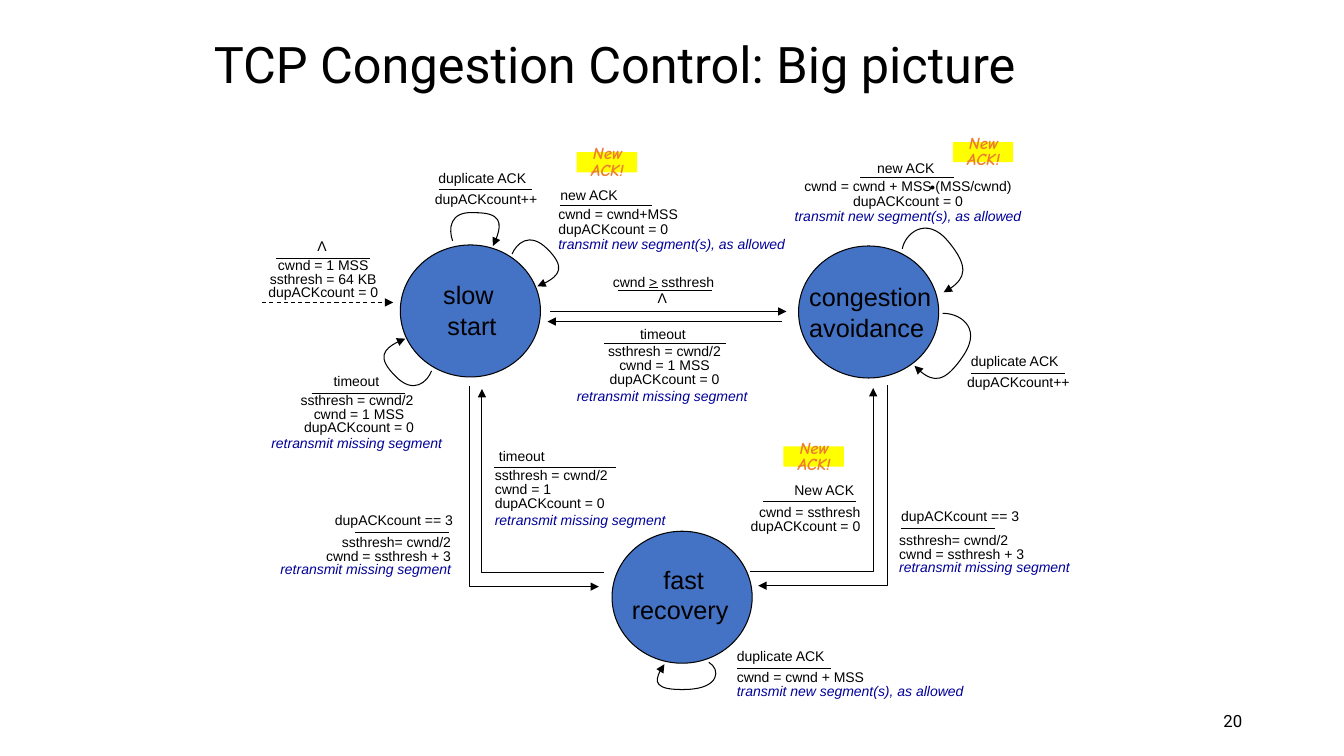
from lxml import etree
from pptx import Presentation
from pptx.dml.color import RGBColor
from pptx.enum.dml import MSO_LINE
from pptx.enum.shapes import MSO_CONNECTOR, MSO_SHAPE
from pptx.enum.text import MSO_ANCHOR, MSO_AUTO_SIZE, PP_ALIGN
from pptx.oxml.ns import qn
from pptx.util import Inches, Pt

LEFT, MID, RIGHT = PP_ALIGN.LEFT, PP_ALIGN.CENTER, PP_ALIGN.RIGHT
DASH = MSO_LINE.DASH
OVAL, RECT = MSO_SHAPE.OVAL, MSO_SHAPE.RECTANGLE
STRAIGHT = MSO_CONNECTOR.STRAIGHT
CELL = 0.1
BLACK, NAVY, BLUE = "000000", "000099", "4472C4"
YELLOW, ORANGE = "FFFF00", "ED7D31"

STATES = [
    ("slow |start", 39.7, 24.3, 0.7),
    ("congestion|avoidance ", 79.2, 24.4, 0.5),
    ("fast|recovery ", 60.7, 52.7, 1),
]

LABELS = [
    ("timeout", (62.5, 31.8, 7.5), (59.9, 34.1, 72),
     "ssthresh = cwnd/2|cwnd = 1 MSS|dupACKcount = 0|retransmit missing segment ",
     (56.2, 33.7, 19.4), MID, 0.85),
    ("cwnd > ssthresh", (59.8, 26.6, 12), (61.3, 28.8, 70.6),
     "Λ", (64.2, 28.6, 3), MID, 0.8),
    ("new ACK", (86, 15.3, 7.8), (85.3, 17.6, 94.6),
     "cwnd = cwnd + MSS (MSS/cwnd)|dupACKcount = 0|transmit new segment(s), as allowed",
     (77.7, 17.3, 24.7), MID, 0.9),
    ("duplicate ACK", (95.3, 34.5, 10.8), (96.3, 37.1, 105.6),
     "dupACKcount++", (94.9, 36.9, 12.2), MID, 0.8),
    ("duplicate ACK", (72.1, 63.7, 10.8), (73.1, 66.3, 82.4),
     "cwnd = cwnd + MSS|transmit new segment(s), as allowed",
     (72.1, 66.1, 24.5), LEFT, 0.85),
    ("dupACKcount == 3", (32.2, 50.3, 13.7), (35.2, 52.8, 44.5),
     "ssthresh= cwnd/2|cwnd = ssthresh + 3|retransmit missing segment",
     (26.8, 52.8, 18.9), RIGHT, 0.8),
    ("timeout", (48.5, 43.9, 7.5), (49, 46.4, 61.1),
     "ssthresh = cwnd/2|cwnd = 1|dupACKcount = 0|retransmit missing segment ",
     (48.1, 46, 19.4), LEFT, 0.85),
    ("dupACKcount == 3", (88.4, 49.9, 13.7), (89.4, 52.4, 98.7),
     "ssthresh= cwnd/2|cwnd = ssthresh + 3|retransmit missing segment",
     (88.2, 52.6, 18.9), LEFT, 0.8),
    ("New ACK", (77.7, 47.3, 8), (75.7, 49.8, 84.9),
     "cwnd = ssthresh|dupACKcount = 0", (73.4, 49.8, 12.9), RIGHT, 0.8),
    ("timeout", (32.1, 36.5, 7.5), (30.9, 39, 40.2),
     "ssthresh = cwnd/2 |cwnd = 1 MSS|dupACKcount = 0|retransmit missing segment ",
     (25.9, 38.7, 19.4), MID, 0.8),
    ("new ACK", (54.6, 18, 7.8), (55.5, 20.4, 64.7),
     "cwnd = cwnd+MSS|dupACKcount = 0|transmit new segment(s), as allowed",
     (54.4, 20.1, 24.7), LEFT, 0.9),
    ("duplicate ACK", (42.5, 16.3, 10.8), (43.5, 18.8, 52.8),
     "dupACKcount++", (42.1, 18.7, 12.2), MID, 0.8),
    ("Λ", (30.5, 23.1, 3), (27.4, 25.6, 36.7),
     "cwnd = 1 MSS|ssthresh = 64 KB|dupACKcount = 0",
     (25.6, 25.3, 12.9), MID, 0.8),
]

LOOPS = [
    [(89.5, 24.7), (89.7, 23.3), (91.8, 21.3), (94, 23.9), (96.2, 26.5), (95.6, 28), (93.6, 29)],
    [(93.5, 31.1), (94.9, 31), (97.5, 32.3), (95.6, 35.2), (93.7, 38.1), (92.2, 37.9), (90.7, 36.3)],
    [(70.3, 65.7), (71.5, 66.4), (71.4, 68.3), (68.1, 68.4), (64.8, 68.5), (64.9, 67.2), (65.9, 65.9)],
    [(44.9, 23.9), (44.5, 22.8), (44.5, 20.9), (47.1, 21.1), (49.7, 21.1), (49.9, 22.4), (48.9, 24.4)],
    [(50.8, 25.2), (51.2, 24.2), (52.5, 22.9), (54.3, 24.7), (56.1, 26.5), (55.4, 27.6), (53.3, 28.4)],
    [(42.8, 36.8), (42.4, 37.9), (41, 39.2), (39.2, 37.3), (37.4, 35.5), (38.1, 34.4), (40.2, 33.6)],
]

BENDS = [
    [(46.6, 38.3), (46.6, 58.2), (59.4, 58.2)],
    [(59.9, 56.8), (47.8, 56.8), (47.8, 38.6)],
    [(88, 38.2), (88, 58.1), (75.2, 58.1)],
    [(74.4, 56.7), (86.6, 56.7), (86.6, 38.5)],
]

BADGES = [(77.7, 44.3), (57.2, 15.1), (94.5, 14.1)]


def grid(*cells):
    return [Inches(cell * CELL) for cell in cells]


def tint(text):
    return RGBColor.from_string(text)


def style(para, size, face="Arial", color=BLACK, align=LEFT, gap=1.0):
    para.alignment = align
    para.line_spacing = gap
    font = para.font
    font.size, font.name = Pt(size), face
    font.color.rgb = tint(color)
    return font


def fill_text(frame, text):
    frame.word_wrap = False
    for num, line in enumerate(text.split("|")):
        para = frame.paragraphs[0] if num == 0 else frame.add_paragraph()
        para.text = line
    return frame.paragraphs


def box(slide, text, place, high):
    x, y, wide = place
    frame = slide.shapes.add_textbox(*grid(x, y, wide, high)).text_frame
    frame.auto_size = MSO_AUTO_SIZE.SHAPE_TO_FIT_TEXT
    return fill_text(frame, text)


def note(slide, text, place, align=LEFT, gap=1.0):
    for para in box(slide, text, place, 1 + 1.7 * len(text.split("|"))):
        sent = "transmit" in para.text
        if para.text.endswith("segment "):
            para.text = para.text.rstrip()
            tail = para.add_run()
            tail.text = " "
            tail.font.size = Pt(12)
        font = style(para, 10, color=NAVY if sent else BLACK, align=align, gap=gap)
        font.italic = sent


def ink(shape, arrow):
    shape.line.color.rgb = tint(BLACK)
    shape.line.width = Pt(0.75)
    if arrow:
        line = shape.element.spPr.find(qn("a:ln"))
        etree.SubElement(line, qn("a:tailEnd"), type="triangle")


def rule(slide, start, end, arrow=False, dash=None):
    line = slide.shapes.add_connector(STRAIGHT, *grid(*start, *end))
    if dash:
        line.line.dash_style = dash
    ink(line, arrow)
    etree.SubElement(line.element.spPr, qn("a:effectLst"))


def label(slide, head, spot, bar, body, place, align, gap):
    left, top, right = bar
    note(slide, head, spot, RIGHT if align == RIGHT else LEFT)
    rule(slide, (left, top), (right, top))
    note(slide, body, place, align, gap)


def trace(slide, points):
    first, *rest = [grid(*point) for point in points]
    pen = slide.shapes.build_freeform(*first)
    pen.add_line_segments(rest, close=False)
    shape = pen.convert_to_shape()
    shape.shadow.inherit = False
    shape.fill.background()
    ink(shape, True)
    return shape


def loop(slide, knots):
    legs = list(trace(slide, knots).element.spPr.iter(qn("a:lnTo")))
    for base in range(0, len(legs), 3):
        bow = etree.Element(qn("a:cubicBezTo"))
        legs[base].addprevious(bow)
        for leg in legs[base:base + 3]:
            bow.append(leg[0])
            leg.getparent().remove(leg)


def block(slide, kind, place, color):
    shape = slide.shapes.add_shape(kind, *grid(*place))
    shape.shadow.inherit = False
    shape.fill.solid()
    shape.fill.fore_color.rgb = tint(color)
    return shape


def state(slide, name, x, y, lift):
    shape = block(slide, OVAL, (x, y, 13.9, 13.1), BLUE)
    ink(shape, False)
    frame = shape.text_frame
    frame.vertical_anchor = MSO_ANCHOR.MIDDLE
    frame.margin_left, frame.margin_bottom = grid(1.3, lift)
    for para in fill_text(frame, name):
        style(para, 18, align=MID)


def badge(slide, x, y):
    block(slide, RECT, (x, y, 6, 2), YELLOW).line.fill.background()
    for para in box(slide, "New|ACK!", (x - 0.4, y - 1, 6.9), 4.3):
        font = style(para, 12, "Comic Neue", ORANGE, MID, 0.8)
        font.bold = font.italic = True


def titles(slide):
    title = slide.shapes.title
    title.left, title.top, title.width, title.height = grid(20.2, 2, 90.3, 9.4)
    frame = title.text_frame
    frame.text = "TCP Congestion Control: Big picture"
    frame.vertical_anchor = MSO_ANCHOR.MIDDLE
    style(frame.paragraphs[0], 36, "Roboto", gap=0.9)
    page = slide.shapes.add_textbox(*grid(94.2, 69.5, 30, 4)).text_frame
    page.word_wrap = True
    page.vertical_anchor = MSO_ANCHOR.MIDDLE
    page.text = "20"
    style(page.paragraphs[0], 12, "Roboto", align=RIGHT)


def main():
    deck = Presentation()
    deck.slide_width, deck.slide_height = Inches(13.33), Inches(7.5)
    slide = deck.slides.add_slide(deck.slide_layouts[5])
    titles(slide)
    for item in STATES:
        state(slide, *item)
    for item in LABELS:
        label(slide, *item)
    style(box(slide, ".", (91.1, 15, 2.8), 5)[0], 24, "Times New Roman")
    for knots in LOOPS:
        loop(slide, knots)
    for points in BENDS:
        trace(slide, points)
    rule(slide, (64.4, 28.5), (65.3, 28.5))
    rule(slide, (77.6, 31.9), (54.3, 31.9), True)
    rule(slide, (54.6, 30.9), (78, 30.9), True)
    rule(slide, (26, 30), (39, 30), True, DASH)
    for spot in BADGES:
        badge(slide, *spot)
    deck.save("out.pptx")


if __name__ == "__main__":
    main()
